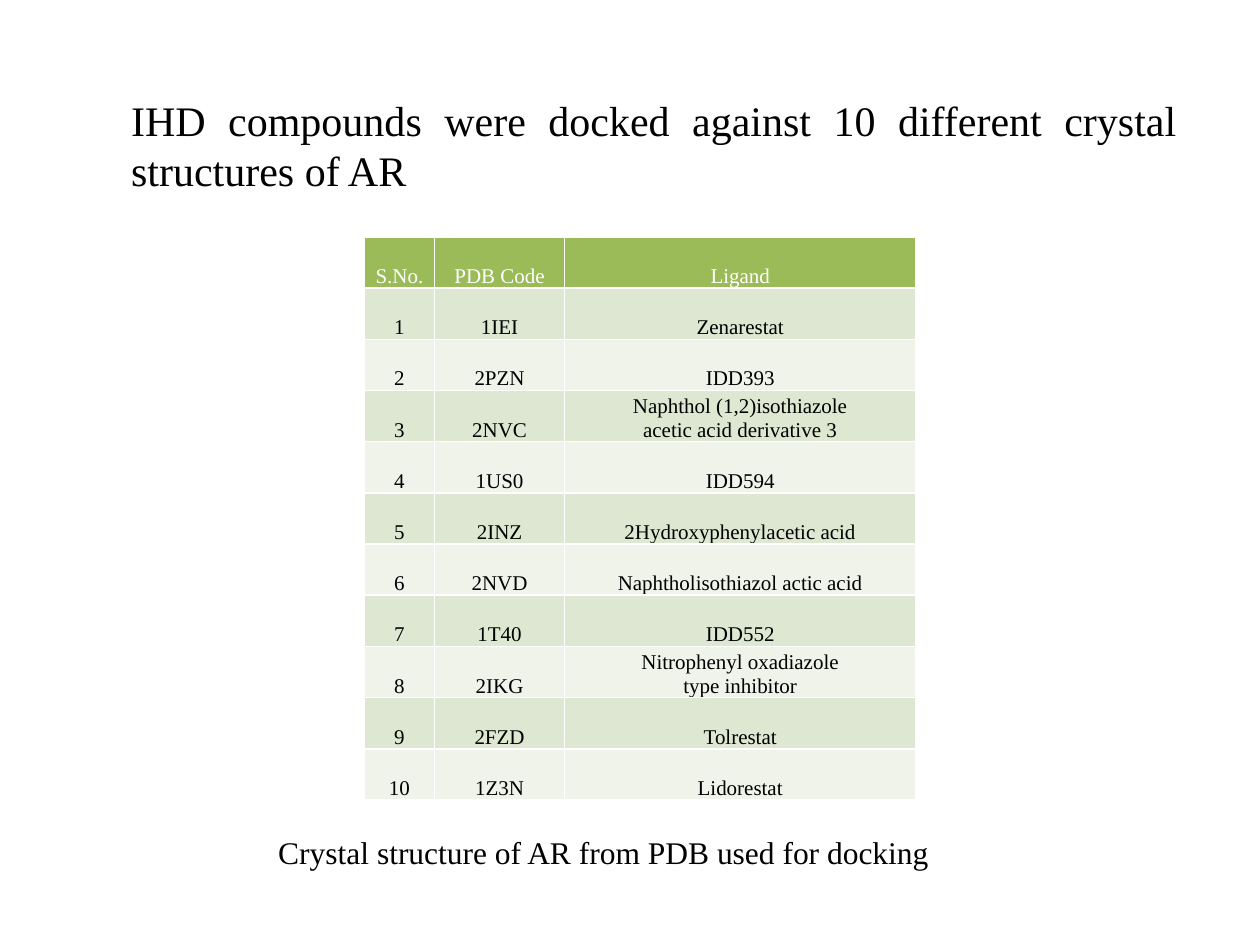
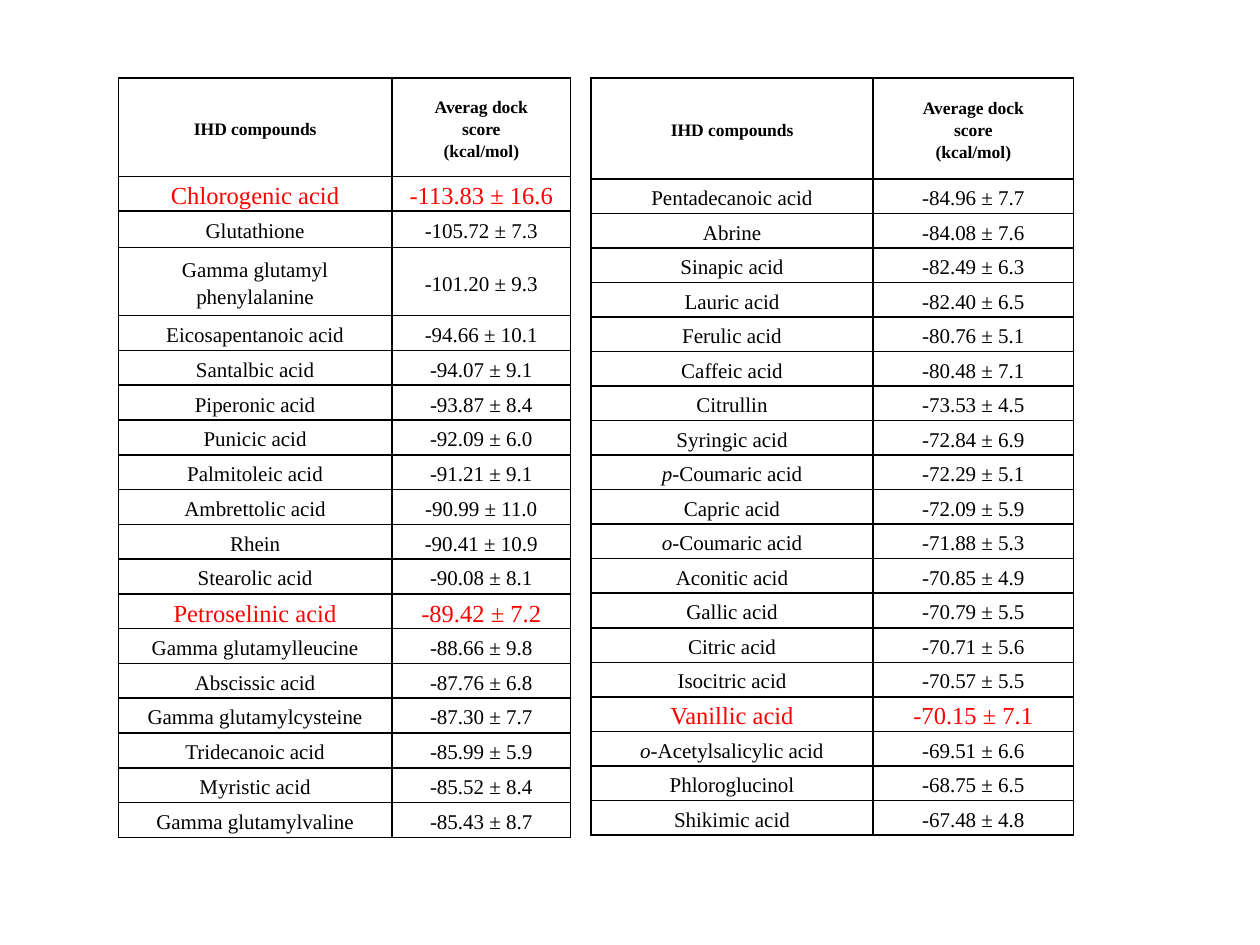
from lxml.etree import SubElement
from pptx import Presentation
from pptx.dml.color import RGBColor
from pptx.enum.text import MSO_ANCHOR, MSO_AUTO_SIZE, PP_ALIGN
from pptx.oxml.ns import qn
from pptx.util import Inches, Pt

FACE = "Times New Roman"
BLACK, WHITE, RED = "000000", "FFFFFF", "FF0000"
GREEN, BANDS = "9BBB59", ("EFF3EA", "DEE7D1")

TITLE = "IHD compounds were docked against 10 different crystal structures of AR"
CAPTION = "Crystal structure of AR from PDB used for docking"

LIGANDS = [
    ("1IEI", "Zenarestat"),
    ("2PZN", "IDD393"),
    ("2NVC", "Naphthol (1,2)isothiazole\vacetic acid derivative 3"),
    ("1US0", "IDD594"),
    ("2INZ", "2Hydroxyphenylacetic acid"),
    ("2NVD", "Naphtholisothiazol actic acid"),
    ("1T40", "IDD552"),
    ("2IKG", "Nitrophenyl oxadiazole\vtype inhibitor"),
    ("2FZD", "Tolrestat"),
    ("1Z3N", "Lidorestat"),
]

HIGH = [
    ("IHD compounds", "Averag dock\vscore\n(kcal/mol)"),
    ("Chlorogenic acid", "-113.83 ± 16.6"),
    ("Glutathione", "-105.72 ± 7.3"),
    ("Gamma glutamyl\vphenylalanine", "-101.20 ± 9.3"),
    ("Eicosapentanoic acid", "-94.66 ± 10.1"),
    ("Santalbic acid", "-94.07 ± 9.1"),
    ("Piperonic acid", "-93.87 ± 8.4"),
    ("Punicic acid", "-92.09 ± 6.0"),
    ("Palmitoleic acid", "-91.21 ± 9.1"),
    ("Ambrettolic acid", "-90.99 ± 11.0"),
    ("Rhein", "-90.41 ± 10.9"),
    ("Stearolic acid", "-90.08 ± 8.1"),
    ("Petroselinic acid", "-89.42 ± 7.2"),
    ("Gamma glutamylleucine", "-88.66 ± 9.8"),
    ("Abscissic acid", "-87.76 ± 6.8"),
    ("Gamma glutamylcysteine", "-87.30 ± 7.7"),
    ("Tridecanoic acid", "-85.99 ± 5.9"),
    ("Myristic acid", "-85.52 ± 8.4"),
    ("Gamma glutamylvaline", "-85.43 ± 8.7"),
]

LOW = [
    ("IHD compounds", "Average dock\vscore\n(kcal/mol)"),
    ("Pentadecanoic acid", "-84.96 ± 7.7"),
    ("Abrine", "-84.08 ± 7.6"),
    ("Sinapic acid", "-82.49 ± 6.3"),
    ("Lauric acid", "-82.40 ± 6.5"),
    ("Ferulic acid", "-80.76 ± 5.1"),
    ("Caffeic acid", "-80.48 ± 7.1"),
    ("Citrullin", "-73.53 ± 4.5"),
    ("Syringic acid", "-72.84 ± 6.9"),
    ("p|-Coumaric acid", "-72.29 ± 5.1"),
    ("Capric acid", "-72.09 ± 5.9"),
    ("o|-Coumaric acid", "-71.88 ± 5.3"),
    ("Aconitic acid", "-70.85 ± 4.9"),
    ("Gallic acid", "-70.79 ± 5.5"),
    ("Citric acid", "-70.71 ± 5.6"),
    ("Isocitric acid", "-70.57 ± 5.5"),
    ("Vanillic acid", "-70.15 ± 7.1"),
    ("o|-Acetylsalicylic acid", "-69.51 ± 6.6"),
    ("Phloroglucinol", "-68.75 ± 6.5"),
    ("Shikimic acid", "-67.48 ± 4.8"),
]

HOT = {"Chlorogenic acid", "Petroselinic acid", "Vanillic acid"}


def paint(part, tint):
    part.rgb = RGBColor.from_string(tint)


def write(frame, text, size, tint=BLACK, bold=False, align=PP_ALIGN.LEFT, space=1.0):
    start, mark, rest = text.partition("|")
    frame.text = start
    if mark:
        para = frame.paragraphs[0]
        para.runs[0].font.italic = True
        para.add_run().text = rest
    for para in frame.paragraphs:
        para.alignment, para.line_spacing = align, space
        font = para.font
        font.name, font.size, font.bold = FACE, Pt(size), bold
        paint(font.color, tint)


def edge(cell, tint):
    props = cell._tc.get_or_add_tcPr()
    for side in ("a:lnL", "a:lnR", "a:lnT", "a:lnB"):
        line = SubElement(props, qn(side), w=str(Pt(1)))
        fill = SubElement(line, qn("a:solidFill"))
        SubElement(fill, qn("a:srgbClr"), val=tint)


def grid(slide, rows, left, top, cols, high, tall, look, rim, anchor, space=1.0):
    """Draw a table; rows not named in tall share the remaining height."""
    shape = slide.shapes.add_table(len(rows), len(cols), Inches(left), Inches(top),
                                   Inches(sum(cols)), Inches(high))
    table = shape.table
    table.horz_banding = False
    for col, wide in zip(table.columns, cols):
        col.width = Inches(wide)
    even = (high - sum(tall.values())) / (len(rows) - len(tall))
    for r, row in enumerate(rows):
        table.rows[r].height = Inches(tall.get(r, even))
        size, tint, bold, back = look(r, row)
        for c, text in enumerate(row):
            cell = table.cell(r, c)
            cell.margin_left = cell.margin_right = cell.margin_top = Inches(0.01)
            cell.margin_bottom = 0
            cell.vertical_anchor = anchor
            edge(cell, rim)
            if back:
                cell.fill.solid()
                paint(cell.fill.fore_color, back)
            else:
                cell.fill.background()
            write(cell.text_frame, text, size, tint, bold, PP_ALIGN.CENTER, space)


def band(r, row):
    return (12, BLACK, False, BANDS[r % 2]) if r else (12, WHITE, False, GREEN)


def score(r, row):
    if r == 0:
        return 10, BLACK, True, None
    return (14, RED, False, None) if row[0] in HOT else (12, BLACK, False, None)


def place(shape, left, top, wide, high):
    shape.left, shape.top = Inches(left), Inches(top)
    shape.width, shape.height = Inches(wide), Inches(high)
    frame = shape.text_frame
    frame.word_wrap, frame.auto_size = True, MSO_AUTO_SIZE.NONE
    frame.vertical_anchor = MSO_ANCHOR.TOP
    return frame


def dock(deck):
    slide = deck.slides.add_slide(deck.slide_layouts[5])
    write(place(slide.shapes.title, 0.94, 0.7, 8.5, 0.91), TITLE, 24,
          align=PP_ALIGN.JUSTIFY)
    rows = [("S.No.", "PDB Code", "Ligand")]
    rows += [(str(n), *pair) for n, pair in enumerate(LIGANDS, 1)]
    grid(slide, rows, 2.89, 1.88, (0.56, 1.03, 2.79), 4.47, {}, band, WHITE,
         MSO_ANCHOR.BOTTOM)
    box = slide.shapes.add_textbox(0, 0, 0, 0)
    write(place(box, 2.11, 6.56, 6.09, 0.4), CAPTION, 18)


def rank(deck):
    slide = deck.slides.add_slide(deck.slide_layouts[6])
    for rows, left, cols, high, tall in (
        (HIGH, 0.94, (2.17, 1.42), 6.03, {0: 0.78, 2: 0.29, 3: 0.54}),
        (LOW, 4.69, (2.24, 1.59), 6.01, {0: 0.8}),
    ):
        grid(slide, rows, left, 0.62, cols, high, tall, score, BLACK,
             MSO_ANCHOR.MIDDLE, 1.15)


def main():
    deck = Presentation()
    deck.slide_width, deck.slide_height = Inches(10), Inches(7.5)
    dock(deck)
    rank(deck)
    deck.save("out.pptx")


if __name__ == "__main__":
    main()
